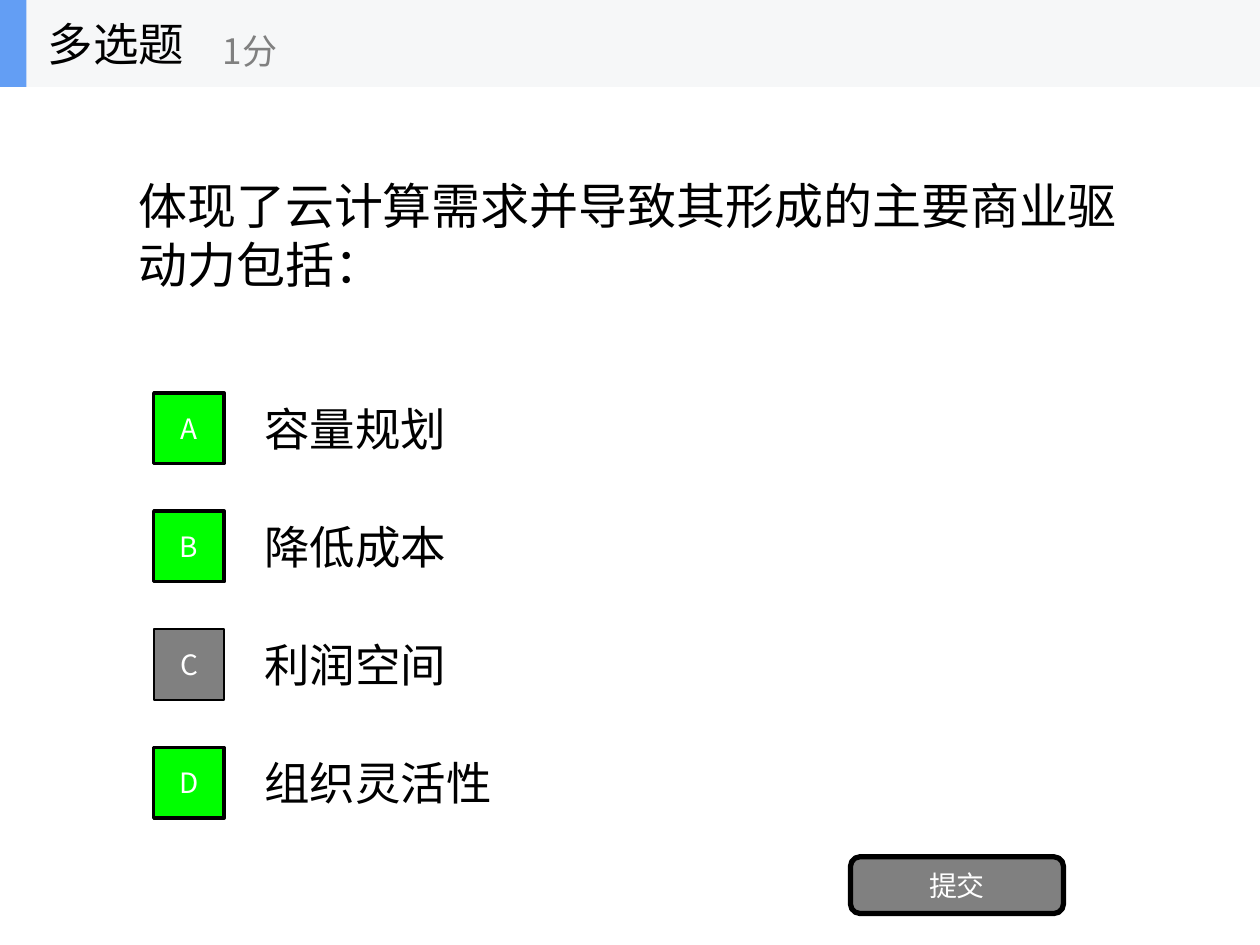
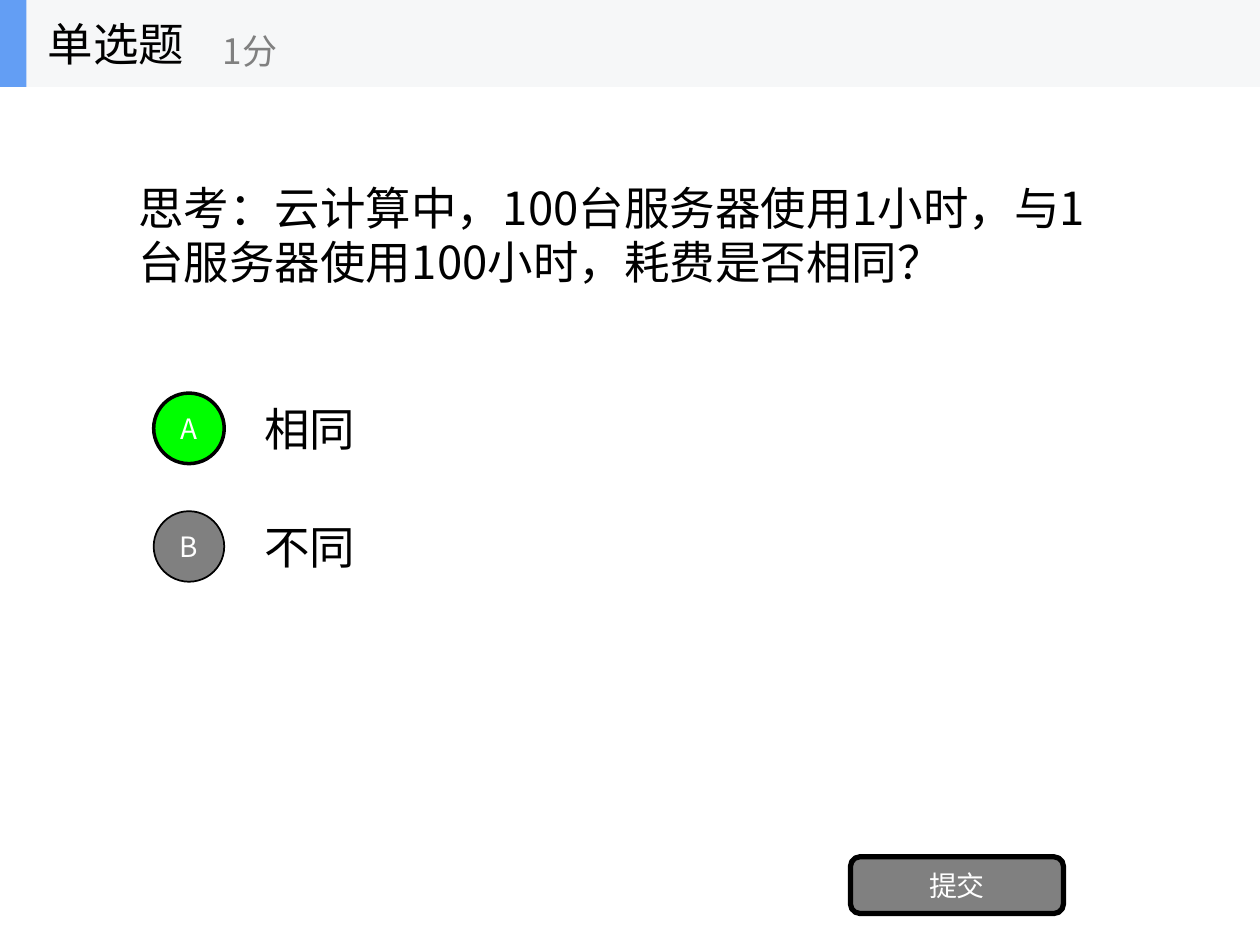
from lxml import etree
from pptx import Presentation
from pptx.dml.color import RGBColor
from pptx.enum.shapes import MSO_SHAPE as Shape
from pptx.enum.text import MSO_ANCHOR as Anchor, PP_ALIGN as Align
from pptx.oxml.ns import qn
from pptx.util import Inches, Pt

WIDTH, HEIGHT = 10, 7.5
ROW = HEIGHT / 8
BAND = 0.69
FIRST_OPTION = 3.05
OPTION_HEIGHT = 0.7
BADGE = 0.56

BLACK, WHITE, GREY = "000000", "FFFFFF", "808080"
GREEN, BLUE, PALE = "00FF00", "639EF4", "F6F7F8"
SANS, SERIF = "Noto Sans CJK SC", "Times New Roman"


def color(hex_value):
    return RGBColor.from_string(hex_value)


def write(shape, text, size, hex_value, font=SANS, align=Align.LEFT, wrap=True):
    frame = shape.text_frame
    frame.word_wrap = wrap
    frame.vertical_anchor = Anchor.MIDDLE
    para = frame.paragraphs[0]
    para.alignment = align
    span = para.add_run()
    span.text = text
    span.font.size = Pt(size)
    span.font.name = font
    span.font.color.rgb = color(hex_value)
    east_asian = etree.SubElement(span.font._element, qn("a:ea"))
    east_asian.set("typeface", SANS)


def add_text(page, area, text, size, hex_value=BLACK, **style):
    box = page.shapes.add_textbox(*map(Inches, area))
    write(box, text, size, hex_value, **style)


def add_block(page, kind, area, fill, line_width=0):
    block = page.shapes.add_shape(kind, *map(Inches, area))
    block.shadow.inherit = False
    block.fill.solid()
    block.fill.fore_color.rgb = color(fill)
    if line_width:
        block.line.color.rgb = color(BLACK)
        block.line.width = Pt(line_width)
    else:
        block.line.fill.background()
    return block


def add_button(page, kind, area, fill, line_width, label):
    button = add_block(page, kind, area, fill, line_width)
    write(button, label, 16, WHITE, align=Align.CENTER)


def add_header(page, title, points):
    add_block(page, Shape.RECTANGLE, (0, 0, WIDTH, BAND), PALE)
    add_block(page, Shape.RECTANGLE, (0, 0, 0.21, BAND), BLUE)
    add_text(page, (0.28, 0, 2.08, BAND), title, 26, wrap=False)
    add_text(page, (1.67, 0.12, 2.5, 0.56), points, 20, GREY, wrap=False)


def add_option(page, row, badge_kind, text, correct):
    top = FIRST_OPTION + row * ROW
    add_text(page, (0.2 * WIDTH, top, 0.7 * WIDTH, OPTION_HEIGHT), text, 26)
    badge_top = top + (OPTION_HEIGHT - BADGE) / 2
    fill, line_width = (GREEN, 2) if correct else (GREY, 1)
    add_button(page, badge_kind, (1.22, badge_top, BADGE, BADGE),
               fill, line_width, "ABCD"[row])


def add_quiz(deck, title, question, size, font, badge_kind, options):
    """Add a question page; options are pairs of text and whether it is correct."""
    page = deck.slides.add_slide(deck.slide_layouts[6])
    add_text(page, (0.1 * WIDTH, BAND, 0.8 * WIDTH, 2.34), question, size, font=font)
    for row, (text, correct) in enumerate(options):
        add_option(page, row, badge_kind, text, correct)
    add_button(page, Shape.ROUNDED_RECTANGLE, (6.75, 6.8, 1.69, 0.45), GREY, 3, "提交")
    add_header(page, title, "1分")


def main():
    deck = Presentation()
    deck.slide_width, deck.slide_height = Inches(WIDTH), Inches(HEIGHT)
    add_quiz(deck, "多选题", "体现了云计算需求并导致其形成的主要商业驱动力包括：",
             28, SERIF, Shape.RECTANGLE,
             [("容量规划", True), ("降低成本", True),
              ("利润空间", False), ("组织灵活性", True)])
    add_quiz(deck, "单选题",
             "思考：云计算中，100台服务器使用1小时，与1台服务器使用100小时，耗费是否相同？",
             26, SANS, Shape.OVAL, [("相同", True), ("不同", False)])
    deck.save("out.pptx")


if __name__ == "__main__":
    main()
